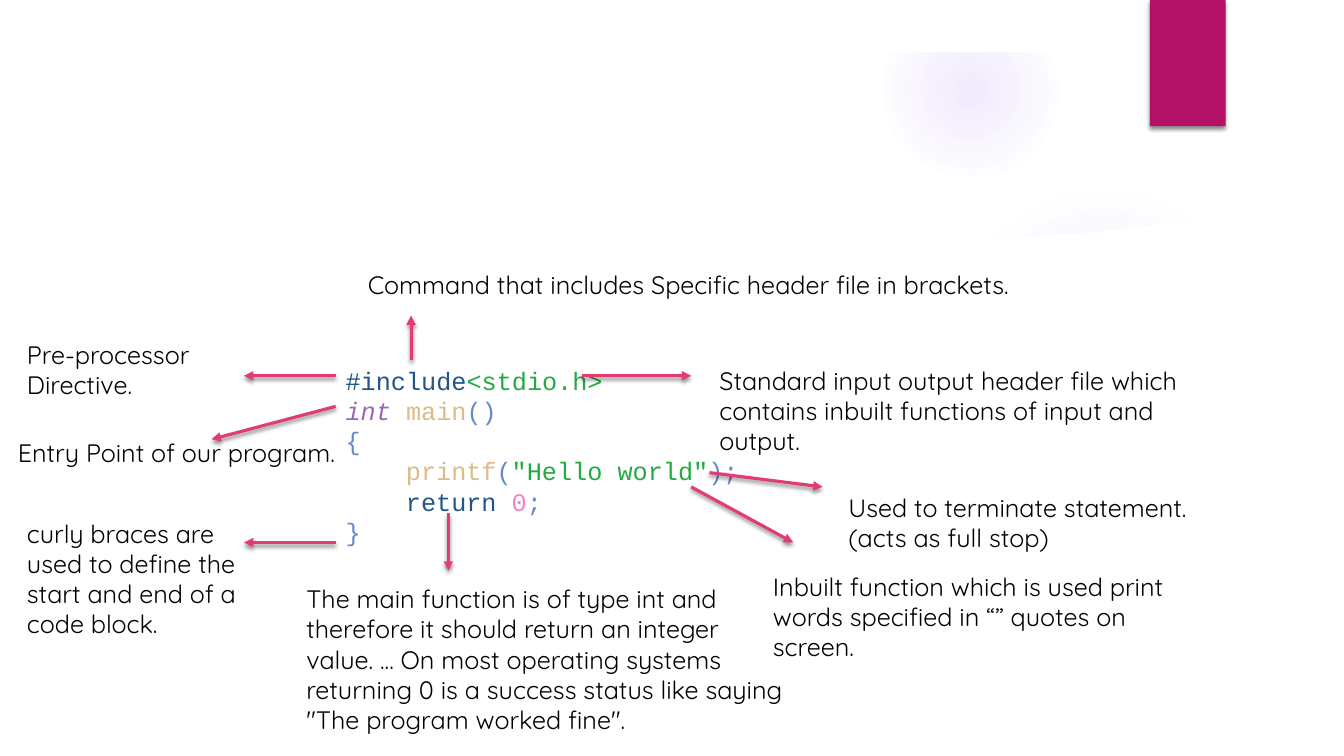
import pptx
import pptx.util
import pptx.dml.color
import pptx.enum.shapes
import pptx.oxml
import pptx.oxml.ns

Cm, Pt = pptx.util.Cm, pptx.util.Pt
KINDS = pptx.enum.shapes.MSO_SHAPE
NS = pptx.oxml.ns.nsdecls("a")
COLORS = {
    "text": "000000", "white": "FFFFFF", "tab": "B31166", "arrow": "E33D6F",
    "glow": "9B6BF2", "word": "225588", "string": "22AA44", "type": "9966B8",
    "name": "DDBB88", "mark": "6688CC", "number": "F280D0",
}
INDENT = 1.52  # four code characters

# Code lines: indent level, then (text, color) runs
CODE = [
    (0, [("#include", "word"), ("<stdio.h>", "string")]),
    (0, [("int ", "type"), ("main", "name"), ("()", "mark")]),
    (0, [("{", "mark")]),
    (1, [("printf", "name"), ("(", "mark"), ('"Hello world"', "string"),
         (");", "mark")]),
    (1, [("return ", "word"), ("0", "number"), (";", "mark")]),
    (0, [("}", "mark")]),
]

# Notes: box, paragraphs, arrow from the code (x1, y1, x2, y2)
NOTES = [
    ((0.43, 8.43, 4.93, 1.8), ["Pre-processor", "Directive."],
     (8.46, 9.47, 6.15, 9.47)),
    ((9.02, 6.65, 18.24, 1.02),
     ["Command that includes Specific header file in brackets."],
     (10.36, 9.07, 10.36, 7.95)),
    ((17.88, 9.07, 12.55, 2.57),
     ["Standard input output header file which contains inbuilt functions "
      "of input and output."],
     (14.66, 9.47, 17.42, 9.47)),
    ((0.2, 10.9, 8.92, 1.02), ["Entry Point of our program."],
     (8.46, 10.24, 5.33, 11.07)),
    ((19.23, 14.27, 11.18, 2.57),
     ["Inbuilt function which is used print words specified in “” quotes "
      "on screen."],
     (17.42, 12.27, 19.99, 13.67)),
    ((7.47, 14.58, 12.55, 4.11),
     ["The main function is of type int and therefore it should return an "
      "integer value. ... On most operating systems returning 0 is a success "
      'status like saying "The program worked fine".'],
     (11.3, 12.93, 11.3, 14.38)),
    ((0.43, 12.93, 6.2, 3.33),
     ["curly braces are used to define the start and end of a code block."],
     (8.46, 13.67, 6.15, 13.67)),
    ((21.13, 12.27, 10.34, 1.8),
     ["Used to terminate statement.(acts as full stop)"],
     (17.88, 11.91, 20.73, 12.27)),
]

# Lower edge of the visible glow, then the bottom of the white panel
PANEL = [(23.4, 6.15), (25.5, 6.02), (27.64, 5.84), (29.77, 5.59),
         (31.19, 5.41), (32.61, 5.18), (32.61, 17.78), (23.4, 17.78)]


def rgb(key):
    return pptx.dml.color.RGBColor.from_string(COLORS[key])


def cms(values):
    return [Cm(v) for v in values]


def add_shade(item):
    props = item._element.spPr
    for old in props.findall(pptx.oxml.ns.qn("a:effectLst")):
        props.remove(old)
    props.append(pptx.oxml.parse_xml(
        f'<a:effectLst {NS}><a:outerShdw blurRad="{Pt(3)}" dist="{Pt(2)}" '
        'dir="5400000" rotWithShape="0"><a:srgbClr val="000000">'
        '<a:alpha val="45000"/></a:srgbClr></a:outerShdw></a:effectLst>'))


def paint(shape, color):
    shape.shadow.inherit = False
    shape.line.fill.background()
    shape.fill.solid()
    shape.fill.fore_color.rgb = rgb(color)
    return shape


def add_rect(slide, box, color):
    return paint(slide.shapes.add_shape(KINDS.RECTANGLE, *cms(box)), color)


def add_panel(slide, points, color):
    spots = [cms(p) for p in points]
    form = slide.shapes.build_freeform(*spots[0])
    form.add_line_segments(spots[1:], close=True)
    return paint(form.convert_to_shape(), color)


def add_glow(slide, left, top, size, stops):
    disc = paint(slide.shapes.add_shape(
        KINDS.OVAL, *cms((left, top, size, size))), "glow")
    marks = "".join(
        f'<a:gs pos="{pos * 1000}"><a:srgbClr val="{COLORS["glow"]}">'
        f'<a:alpha val="{alpha * 1000}"/></a:srgbClr></a:gs>'
        for pos, alpha in stops)
    blend = pptx.oxml.parse_xml(
        f'<a:gradFill {NS}><a:gsLst>{marks}</a:gsLst><a:path path="circle">'
        '<a:fillToRect l="50000" t="50000" r="50000" b="50000"/>'
        '</a:path></a:gradFill>')
    props = disc._element.spPr
    props.replace(props.find(pptx.oxml.ns.qn("a:solidFill")), blend)


def add_run(para, text, font="Quicksand", size=18, color="text", italic=False):
    run = para.add_run()
    run.text = text
    run.font.name = font
    run.font.size = Pt(size)
    run.font.italic = italic
    run.font.color.rgb = rgb(color)


def add_box(slide, box, lines, **style):
    frame = slide.shapes.add_textbox(*cms(box)).text_frame
    frame.word_wrap = True
    for i, (level, runs) in enumerate(lines):
        para = frame.add_paragraph() if i else frame.paragraphs[0]
        if level:
            para._p.get_or_add_pPr().set("marL", str(Cm(INDENT * level)))
        for text, color in runs:
            add_run(para, text, color=color, italic=color == "type", **style)


def add_arrow(slide, ends):
    link = slide.shapes.add_connector(
        pptx.enum.shapes.MSO_CONNECTOR.STRAIGHT, *cms(ends))
    link.line.width = Pt(2.25)
    link.line.color.rgb = rgb("arrow")
    link.line._get_or_add_ln().append(
        pptx.oxml.parse_xml(f'<a:tailEnd {NS} type="triangle"/>'))
    add_shade(link)


def main():
    deck = pptx.Presentation()
    deck.slide_width, deck.slide_height = Cm(33.87), Cm(19.05)
    slide = deck.slides.add_slide(deck.slide_layouts[6])

    # Backdrop: glows trimmed by white panels, and the corner tab
    add_glow(slide, 23.9, 4.65, 7.82, [(0, 7), (36, 6), (69, 0)])
    add_glow(slide, 22.23, 0.03, 4.45, [(0, 14), (36, 7), (73, 0)])
    add_panel(slide, PANEL, "white")
    add_rect(slide, (0, 0, 33.87, 1.32), "white")
    add_shade(add_rect(slide, (28.98, 0, 1.91, 3.18), "tab"))

    # Program
    add_box(slide, (8.46, 9.07, 16.94, 6.4), CODE, font="Courier New")

    # Arrows and notes
    for box, texts, ends in NOTES:
        add_arrow(slide, ends)
        add_box(slide, box, [(0, [(text, "text")]) for text in texts])

    deck.save("out.pptx")


if __name__ == "__main__":
    main()
